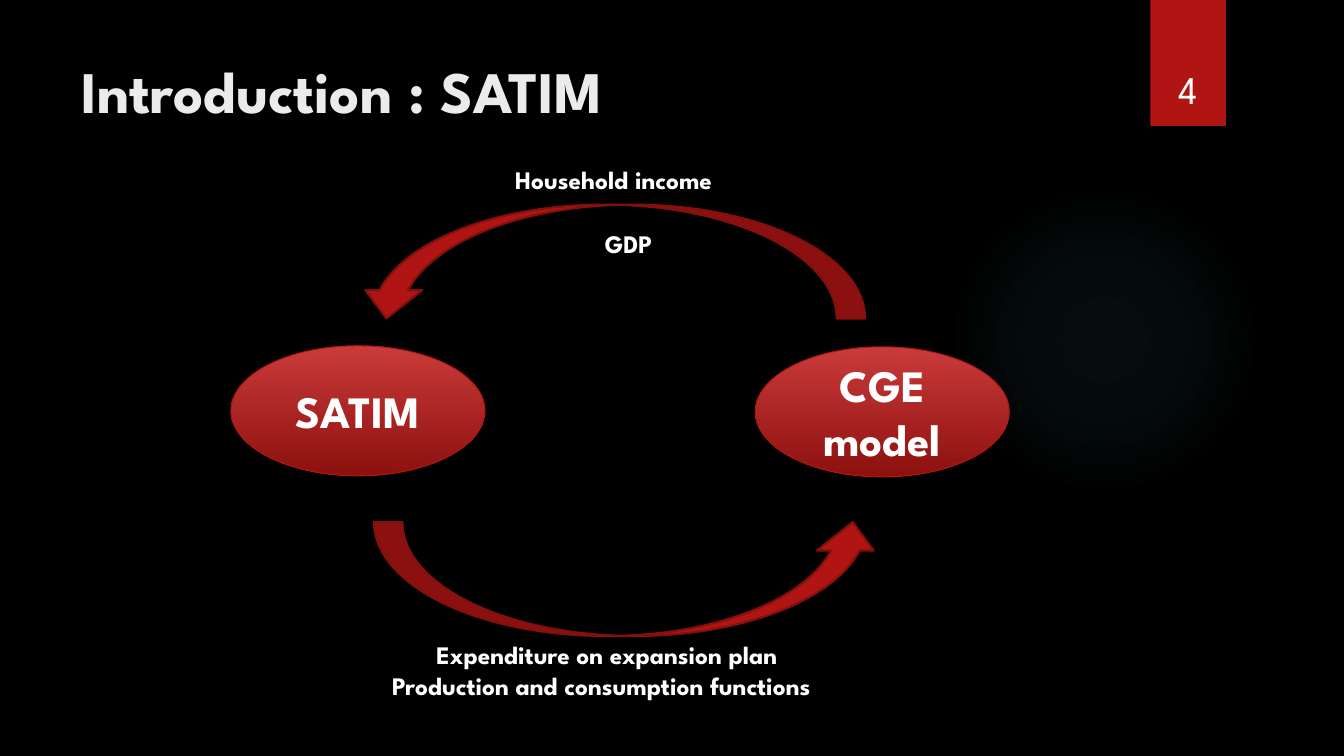
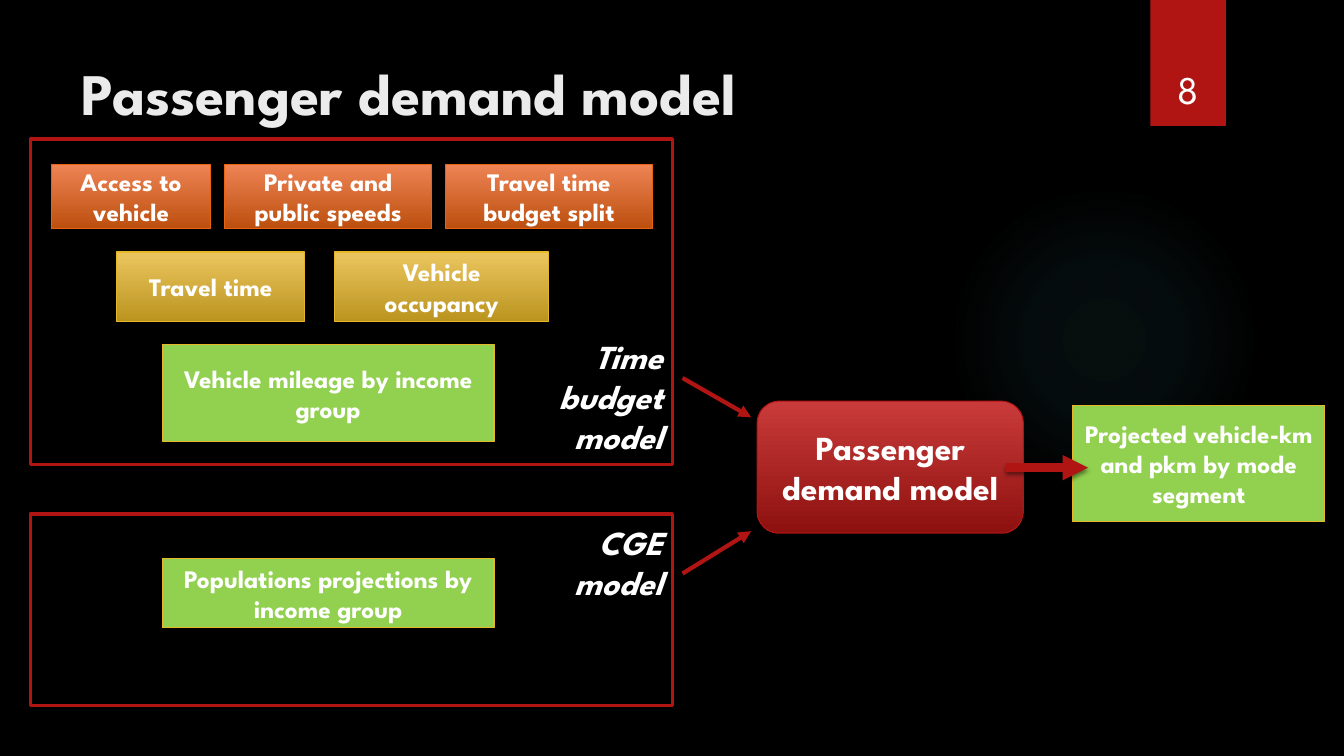
from pptx import Presentation
from pptx.dml.color import RGBColor
from pptx.enum.shapes import MSO_CONNECTOR, MSO_SHAPE
from pptx.enum.text import MSO_ANCHOR, MSO_AUTO_SIZE, PP_ALIGN
from pptx.oxml import parse_xml
from pptx.oxml.ns import nsdecls
from pptx.util import Pt

PX = 9144  # 100 px to the inch
FONT = "League Spartan"
RED, DARK_RED, GREEN, GOLD = "B01513", "82100E", "92D050", "E6B729"
WHITE, TITLE = "FFFFFF", "EBEBEB"
RED_FADE = ("C93B3A", "8D110F")
ORANGE_FADE = ("EE8455", "BC4F0E")
GOLD_FADE = ("EBC65F", "BB941F")
rgb = RGBColor.from_string


def add_box(s, kind, at, fill=None, line=None, width=0.75):
    """Add a preset shape; fill is a colour, a (top, bottom) fade or None."""
    sp = s.shapes.add_shape(kind, *[v * PX for v in at])
    sp.shadow.inherit = False
    if fill is None:
        sp.fill.background()
    elif isinstance(fill, tuple):
        sp.fill.gradient()
        sp.fill.gradient_angle = 270
        for stop, color in zip(sp.fill.gradient_stops, fill):
            stop.color.rgb = rgb(color)
    else:
        sp.fill.solid()
        sp.fill.fore_color.rgb = rgb(fill)
    if line:
        sp.line.color.rgb = rgb(line)
        sp.line.width = Pt(width)
    else:
        sp.line.fill.background()
    return sp


def write(sp, text, size, align=PP_ALIGN.CENTER, anchor=MSO_ANCHOR.MIDDLE,
          color=WHITE, bold=True, italic=False, wrap=True):
    tf = sp.text_frame
    tf.word_wrap = wrap
    tf.vertical_anchor = anchor
    p = tf.paragraphs[0]
    p.text = text
    p.alignment = align
    p.font.name = FONT
    p.font.size = Pt(size)
    p.font.bold = bold
    p.font.italic = italic
    p.font.color.rgb = rgb(color)
    return tf


prs = Presentation()
prs.slide_width, prs.slide_height = 1333 * PX, 750 * PX

# Shared frame: background, glow, number ribbon and title
slides = []
for title, top, number in [("Introduction : SATIM", 49, "4"),
                           ("Passenger demand model", 51, "8")]:
    s = prs.slides.add_slide(prs.slide_layouts[6])
    s.background.fill.solid()
    s.background.fill.fore_color.rgb = rgb("000000")
    glow = add_box(s, MSO_SHAPE.OVAL, (941, 183, 308, 308))
    stops = "".join(
        f'<a:gs pos="{pos}000"><a:srgbClr val="50B9C1">'
        f'<a:alpha val="{alpha}000"/></a:srgbClr></a:gs>'
        for pos, alpha in [(0, 7), (36, 6), (69, 0)])
    spPr = glow.fill._xPr
    spPr.replace(spPr.find("{*}noFill"), parse_xml(
        f'<a:gradFill {nsdecls("a")}><a:gsLst>{stops}</a:gsLst>'
        '<a:path path="circle"><a:fillToRect l="50000" t="50000" '
        'r="50000" b="50000"/></a:path></a:gradFill>'))
    add_box(s, MSO_SHAPE.RECTANGLE, (1141, 0, 75, 125), RED)
    tb = s.shapes.add_textbox(1132 * PX, 32 * PX, 92 * PX, 84 * PX)
    write(tb, number, 28, anchor=MSO_ANCHOR.BOTTOM, bold=False)
    tb = s.shapes.add_textbox(71 * PX, top * PX, 1028 * PX, 153 * PX)
    write(tb, title, 42, PP_ALIGN.LEFT, MSO_ANCHOR.TOP, TITLE)
    slides.append(s)
loop_slide, demand_slide = slides

# Loop between the two models
for text, x, y in [("SATIM", 229, 343), ("CGE model", 749, 344)]:
    sp = add_box(loop_slide, MSO_SHAPE.OVAL, (x, y, 252, 129), RED_FADE, RED)
    write(sp, text, 32)
for x, y, rotation in [(371, 518, 0), (355, 203, 180)]:
    sp = add_box(loop_slide, MSO_SHAPE.CURVED_UP_ARROW, (x, y, 503, 113),
                 RED, DARK_RED, 1.5)
    sp.rotation = rotation
for text, x, y, w in [("Production and consumption functions", 379, 660, 495),
                      ("Expenditure on expansion plan", 423, 629, 399),
                      ("GDP", 590, 222, 73),
                      ("Household income", 501, 158, 250)]:
    tb = loop_slide.shapes.add_textbox(x * PX, y * PX, w * PX, 40 * PX)
    tf = write(tb, text, 18, PP_ALIGN.LEFT, MSO_ANCHOR.TOP, wrap=False)
    tf.auto_size = MSO_AUTO_SIZE.SHAPE_TO_FIT_TEXT

# Inputs and output of the demand model
for text, at, fill, line in [
    ("Access to vehicle", (51, 163, 158, 64), ORANGE_FADE, "EA6312"),
    ("Private and public speeds", (223, 163, 205, 64), ORANGE_FADE, "EA6312"),
    ("Travel time budget split", (442, 163, 205, 64), ORANGE_FADE, "EA6312"),
    ("Travel time", (116, 250, 186, 69), GOLD_FADE, GOLD),
    ("Vehicle occupancy", (332, 250, 212, 69), GOLD_FADE, GOLD),
    ("Vehicle mileage by income group", (161, 342, 329, 96), GREEN, GOLD),
    ("Populations projections by income group", (161, 554, 329, 69), GREEN, GOLD),
    ("Projected vehicle-km and pkm by mode segment", (1064, 402, 250, 115), GREEN, GOLD),
]:
    write(add_box(demand_slide, MSO_SHAPE.RECTANGLE, at, fill, line), text, 18)
sp = add_box(demand_slide, MSO_SHAPE.ROUNDED_RECTANGLE, (751, 398, 264, 131),
             RED_FADE, RED)
write(sp, "Passenger demand model", 24)

# Frames around the two input groups
for text, y, h, text_y, text_h in [("Time budget model", 138, 323, 328, 131),
                                   ("CGE model", 510, 190, 513, 91)]:
    add_box(demand_slide, MSO_SHAPE.RECTANGLE, (30, y, 637, h), None, RED, 2.25)
    tb = demand_slide.shapes.add_textbox(524 * PX, text_y * PX, 143 * PX, text_h * PX)
    write(tb, text, 24, PP_ALIGN.RIGHT, MSO_ANCHOR.TOP, italic=True)

for ends, width in [((677, 375, 745, 414), 3),
                    ((677, 569, 745, 527), 3),
                    ((998, 464, 1079, 464), 6)]:
    arrow = demand_slide.shapes.add_connector(MSO_CONNECTOR.STRAIGHT,
                                              *[v * PX for v in ends])
    arrow.line.color.rgb = rgb(RED)
    arrow.line.width = Pt(width)
    arrow.line._ln.append(parse_xml(f'<a:tailEnd {nsdecls("a")} type="triangle"/>'))
    arrow._element.spPr.append(parse_xml(
        f'<a:effectLst {nsdecls("a")}><a:outerShdw blurRad="38100" dist="25400" '
        'dir="5400000" rotWithShape="0"><a:srgbClr val="000000">'
        '<a:alpha val="45000"/></a:srgbClr></a:outerShdw></a:effectLst>'))

prs.save("out.pptx")
